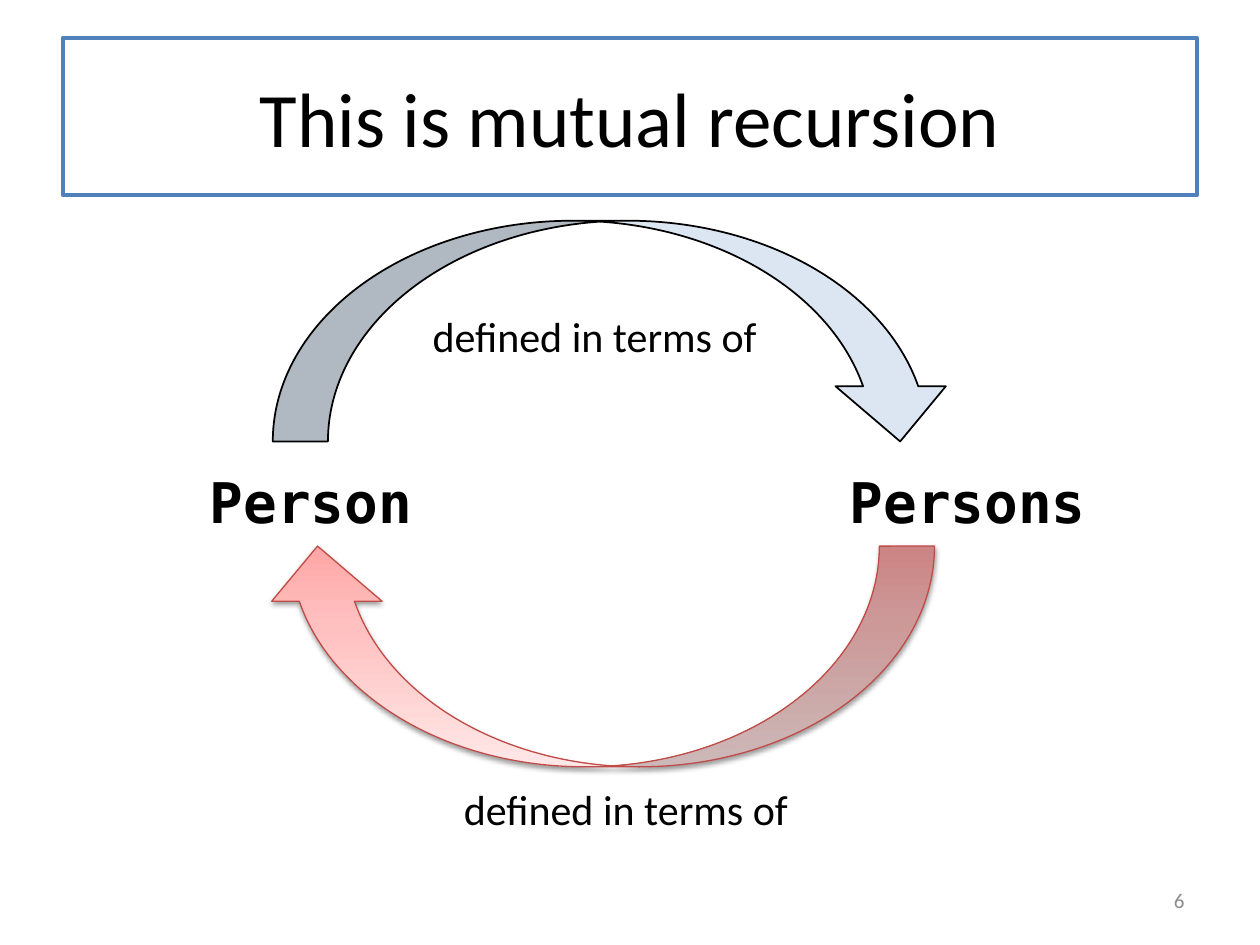
"""Build a slide showing mutual recursion as two arrows between Person and Persons."""
from lxml import etree
from pptx import Presentation
from pptx.dml.color import RGBColor
from pptx.enum.shapes import MSO_SHAPE
from pptx.enum.text import MSO_ANCHOR, PP_ALIGN
from pptx.oxml import parse_xml
from pptx.oxml.ns import nsdecls, qn
from pptx.util import Cm, Pt

RECT, CURVED_ARROW = MSO_SHAPE.RECTANGLE, MSO_SHAPE.CURVED_DOWN_ARROW
LEFT, CENTER, RIGHT = PP_ALIGN.LEFT, PP_ALIGN.CENTER, PP_ALIGN.RIGHT
TOP, MIDDLE = MSO_ANCHOR.TOP, MSO_ANCHOR.MIDDLE

THEME = {
    "text": "000000", "muted": "8C8C8C", "paper": "FFFFFF", "frame": "4F81BD",
    "blue": "DCE6F2", "red_line": "BF4C48", "shadow": "000000",
    "red_stops": [(0, "FFA6A5"), (35, "FFC0BF"), (100, "FFE7E7")],
    "body_font": "Calibri", "code_font": "DejaVu Sans Mono",
    "title": 44, "code": 32, "label": 24, "number": 12,
}


def write(sp, text, size, align=LEFT, anchor=TOP, font="body_font", color="text"):
    tf = sp.text_frame
    tf.text = text
    tf.word_wrap = True
    tf.vertical_anchor = anchor
    p = tf.paragraphs[0]
    p.alignment = align
    r = p.runs[0]
    r.font.name = THEME[font]
    r.font.size = Pt(THEME[size])
    r.font.bold = font == "code_font"
    r.font.color.rgb = RGBColor.from_string(THEME[color])


def add_outlined(kind, box, fill, line, width):
    sp = s.shapes.add_shape(kind, *map(Cm, box))
    sp.shadow.inherit = False
    sp.fill.solid()
    sp.fill.fore_color.rgb = RGBColor.from_string(THEME[fill])
    sp.line.color.rgb = RGBColor.from_string(THEME[line])
    sp.line.width = Pt(width)
    return sp


prs = Presentation()
prs.slide_width, prs.slide_height = Cm(25.4), Cm(19.05)
s = prs.slides.add_slide(prs.slide_layouts[6])

title = add_outlined(RECT, (1.27, 0.76, 22.86, 3.18), "paper", "frame", 2.25)
write(title, "This is mutual recursion", "title", CENTER, MIDDLE)

for name, left in (("Person", 3.98), ("Persons", 16.88)):
    sp = s.shapes.add_textbox(Cm(left), Cm(9.3), Cm(5.5), Cm(1.6))
    write(sp, name, "code", font="code_font")

number = s.shapes.add_textbox(Cm(18.2), Cm(17.65), Cm(5.93), Cm(1.01))
write(number, "6", "number", RIGHT, MIDDLE, color="muted")

add_outlined(CURVED_ARROW, (5.5, 4.45, 13.76, 4.45), "blue", "text", 1)

back_arrow = add_outlined(CURVED_ARROW, (5.29, 11.01, 13.55, 4.45), "blue", "red_line", 0.75)
spPr = back_arrow._element.spPr
spPr.xfrm.set("flipH", "1")
spPr.xfrm.set("flipV", "1")
stops = "".join(
    f'<a:gs pos="{pos * 1000}"><a:srgbClr val="{color}"/></a:gs>'
    for pos, color in THEME["red_stops"]
)
spPr.replace(spPr.find(qn("a:solidFill")), parse_xml(
    f'<a:gradFill {nsdecls("a")} rotWithShape="1"><a:gsLst>{stops}</a:gsLst>'
    '<a:lin ang="16200000" scaled="0"/></a:gradFill>'
))
shadow = etree.SubElement(
    spPr.find(qn("a:effectLst")), qn("a:outerShdw"),
    blurRad=str(Pt(3.1)), dist=str(Pt(1.6)), dir="5400000", rotWithShape="0",
)
shadow_color = etree.SubElement(shadow, qn("a:srgbClr"), val=THEME["shadow"])
etree.SubElement(shadow_color, qn("a:alpha"), val="38000")

for left, top in ((8.47, 6.14), (9.1, 15.66)):
    sp = s.shapes.add_textbox(Cm(left), Cm(top), Cm(7.62), Cm(1.27))
    write(sp, "defined in terms of", "label")

prs.save("out.pptx")
